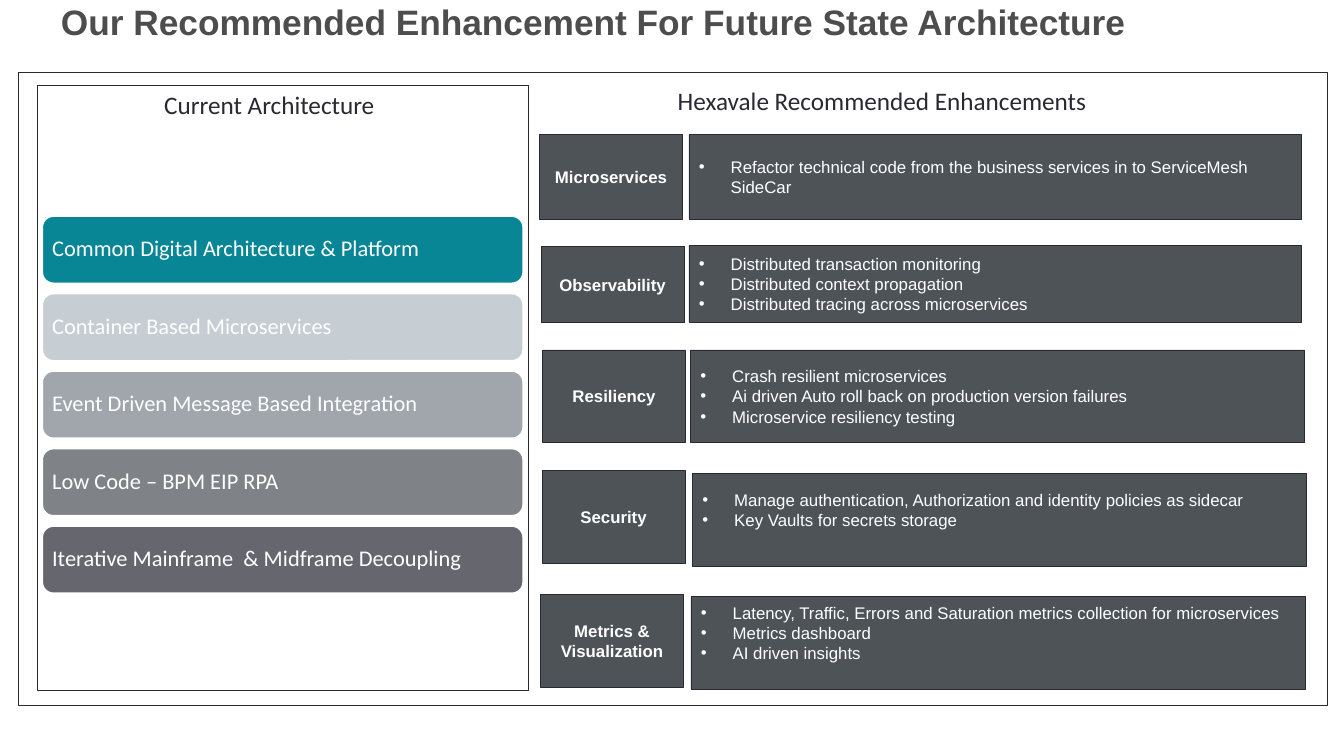
"""Build the slide that sets the current architecture beside the recommended enhancements."""
from lxml import etree
from pptx import Presentation
from pptx.dml.color import RGBColor
from pptx.enum import shapes, text
from pptx.oxml import ns
from pptx.util import Inches, Pt

WHITE = RGBColor(0xFF, 0xFF, 0xFF)
INK = RGBColor(0x2A, 0x28, 0x33)
SLATE = RGBColor(0x4E, 0x53, 0x58)
TITLE_GRAY = RGBColor(0x4D, 0x4D, 0x4D)
TEAL = RGBColor(0x08, 0x86, 0x96)
MIST = RGBColor(0xC6, 0xCE, 0xD4)
SILVER = RGBColor(0xA0, 0xA6, 0xAB)
STEEL = RGBColor(0x7F, 0x83, 0x87)
GRAPHITE = RGBColor(0x66, 0x66, 0x6E)

TITLE = "Our Recommended Enhancement For Future State Architecture"
HEADINGS = [
    ("Current Architecture", (3.16, 1.72, 4.41, 0.71)),
    ("Hexavale Recommended Enhancements", (13.35, 1.65, 8.57, 0.71)),
]
PANELS = [(0.37, 1.43, 25.96, 12.56), (0.74, 1.7, 9.74, 12)]
LAYERS = [
    ("Common Digital Architecture & Platform", TEAL),
    ("Container Based Microservices", MIST),
    ("Event Driven Message Based Integration", SILVER),
    ("Low Code – BPM EIP RPA", STEEL),
    ("Iterative Mainframe  & Midframe Decoupling", GRAPHITE),
]
LAYER_TOP, LAYER_PITCH = 4.29, 1.5375
ENHANCEMENTS = [
    (["Microservices"], (10.71, 2.67, 2.83, 1.68),
     ["Refactor technical code from the business services in to ServiceMesh SideCar"],
     (13.67, 2.67, 12.15, 1.68), 0.1),
    (["Observability"], (10.74, 4.89, 2.83, 1.51),
     ["Distributed transaction monitoring",
      "Distributed context propagation",
      "Distributed tracing across microservices"],
     (13.67, 4.87, 12.15, 1.52), 0.1),
    (["Resiliency"], (10.77, 6.94, 2.83, 1.83),
     ["Crash resilient microservices",
      "Ai driven Auto roll back on production version failures",
      "Microservice resiliency testing"],
     (13.7, 6.94, 12.19, 1.84), 0.1),
    (["Security"], (10.76, 9.34, 2.83, 1.83),
     ["Manage authentication, Authorization and identity policies as sidecar",
      "Key Vaults for secrets storage"],
     (13.74, 9.39, 12.19, 1.84), 0.5),
    (["Metrics &", "Visualization"], (10.73, 11.8, 2.83, 1.83),
     ["Latency, Traffic, Errors and Saturation metrics collection for microservices",
      "Metrics dashboard",
      "AI driven insights"],
     (13.71, 11.84, 12.19, 1.84), 0.5),
]

LEFT, CENTER = text.PP_ALIGN.LEFT, text.PP_ALIGN.CENTER
TOP, MIDDLE = text.MSO_ANCHOR.TOP, text.MSO_ANCHOR.MIDDLE
RECT = shapes.MSO_SHAPE.RECTANGLE
ROUNDED = shapes.MSO_SHAPE.ROUNDED_RECTANGLE
TITLE_FONT = {"name": "Arial", "size": Pt(50.4), "bold": True}
HEADING_FONT = {"name": "Calibri", "size": Pt(36)}
LAYER_FONT = {"name": "Calibri", "size": Pt(32)}
LABEL_FONT = {"name": "Arial", "size": Pt(24), "bold": True}
DETAIL_FONT = {"name": "Arial", "size": Pt(24), "bold": False}


def apply(target, values):
    for name, value in values.items():
        setattr(target, name, value)


def add_box(page, kind, place, fill, line, weight):
    box = page.shapes.add_shape(kind, *map(Inches, place))
    box.shadow.inherit = False
    if fill is None:
        box.fill.background()
    else:
        box.fill.solid()
        box.fill.fore_color.rgb = fill
    box.line.color.rgb = line
    box.line.width = Pt(weight)
    return box


def add_bullet(para):
    props = para._p.get_or_add_pPr()
    props.set("marL", str(Inches(0.63)))
    props.set("indent", str(-Inches(0.63)))
    etree.SubElement(props, ns.qn("a:buFont")).set("typeface", "Arial")
    etree.SubElement(props, ns.qn("a:buChar")).set("char", "•")


def write(box, lines, font, color, align=LEFT, anchor=MIDDLE, wrap=True,
          insets=(0.1, 0.05, 0.1, 0.05), spacing=None, bullets=False):
    frame = box.text_frame
    sides = ("margin_left", "margin_top", "margin_right", "margin_bottom")
    apply(frame, {"word_wrap": wrap, "vertical_anchor": anchor})
    apply(frame, dict(zip(sides, map(Inches, insets))))
    for index, line in enumerate(lines):
        para = frame.add_paragraph() if index else frame.paragraphs[0]
        apply(para, {"alignment": align, "line_spacing": spacing})
        if bullets:
            add_bullet(para)
        span = para.add_run()
        span.text = line
        apply(span.font, font)
        span.font.color.rgb = color


def main():
    deck = Presentation()
    apply(deck, {"slide_width": Inches(26.67), "slide_height": Inches(15)})
    page = deck.slides.add_slide(deck.slide_layouts[6])

    for place in PANELS:
        add_box(page, RECT, place, None, INK, 0.75)

    title = page.shapes.add_textbox(*map(Inches, (0.48, -0.05, 22.59, 1.33)))
    write(title, [TITLE], TITLE_FONT, TITLE_GRAY, CENTER, TOP)
    for heading, place in HEADINGS:
        box = page.shapes.add_textbox(*map(Inches, place))
        write(box, [heading], HEADING_FONT, INK, anchor=TOP, wrap=False)

    for index, (name, color) in enumerate(LAYERS):
        place = (0.84, LAYER_TOP + index * LAYER_PITCH, 9.54, 1.33)
        box = add_box(page, ROUNDED, place, color, WHITE, 2)
        write(box, [name], LAYER_FONT, WHITE, insets=[0.13] * 4, spacing=0.9)

    for label, label_place, details, detail_place, bottom in ENHANCEMENTS:
        box = add_box(page, RECT, label_place, SLATE, INK, 0.75)
        write(box, label, LABEL_FONT, WHITE, CENTER, insets=(0.2, 0.1, 0.2, 0.1))
        box = add_box(page, RECT, detail_place, SLATE, INK, 0.75)
        write(box, details, DETAIL_FONT, WHITE,
              insets=(0.2, 0.1, 0.2, bottom), bullets=True)

    deck.save("out.pptx")


if __name__ == "__main__":
    main()
